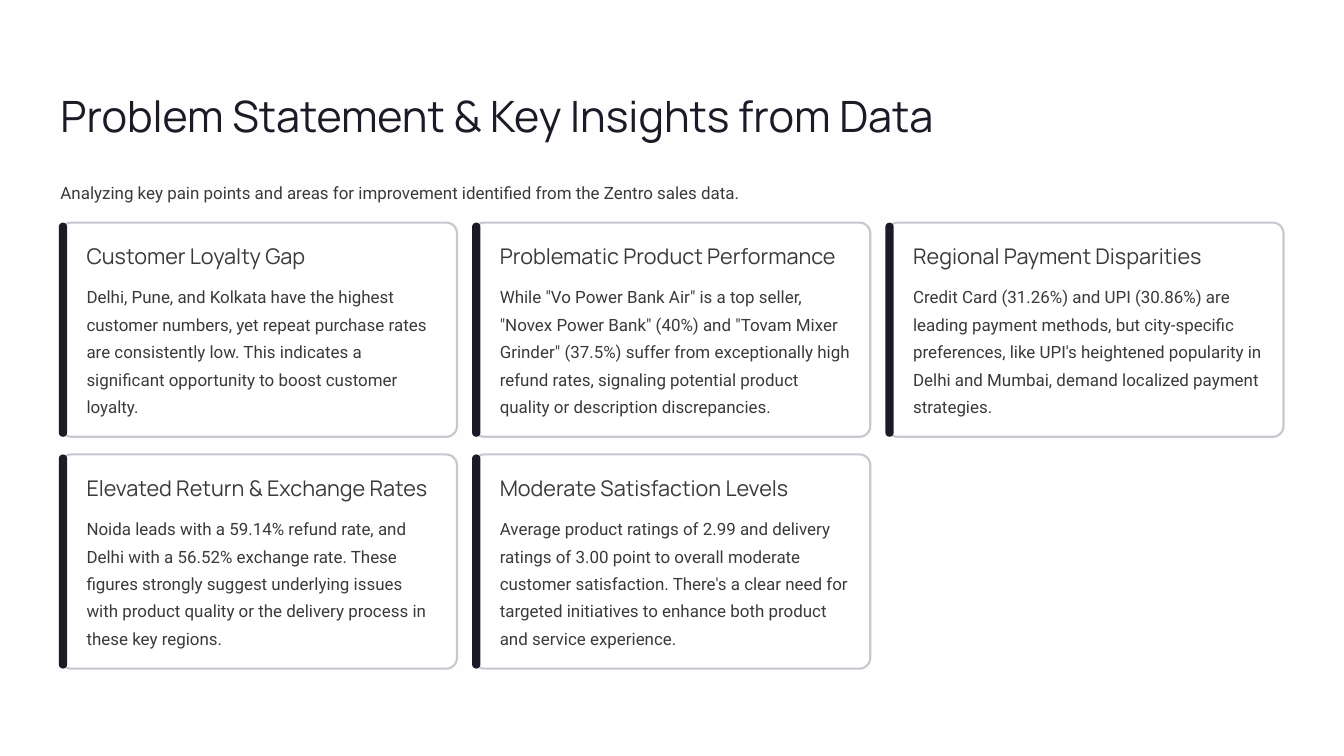
from pptx import Presentation
from pptx.dml.color import RGBColor
from pptx.enum.shapes import MSO_SHAPE
from pptx.enum.text import MSO_ANCHOR, MSO_AUTO_SIZE, PP_ALIGN
from pptx.util import Inches, Pt

COLORS = {
    "background": "FEFEFE",
    "card": "FFFFFF",
    "border": "C7C7D0",
    "ink": "1B1B27",
    "body": "3C3939",
}
STYLES = {
    "title": {"name": "Manrope", "size": 37, "color": "ink", "leading": 46},
    "heading": {"name": "Manrope", "size": 18.5, "color": "body", "leading": 23},
    "body": {"name": "Roboto", "size": 14.5, "color": "body", "leading": 23.5},
}
FRAME = {
    "margin_left": 0,
    "margin_top": 0,
    "margin_right": 0,
    "margin_bottom": 0,
    "vertical_anchor": MSO_ANCHOR.TOP,
    "auto_size": MSO_AUTO_SIZE.NONE,
}
LEFT, CARDS_TOP = 0.72, 2.65
CARD_WIDTH, CARD_HEIGHT = 4.72, 2.55
COLUMNS, COLUMN_STEP, ROW_STEP = 3, 4.92, 2.76

INSIGHTS = [
    ("Customer Loyalty Gap",
     "Delhi, Pune, and Kolkata have the highest customer numbers, yet repeat "
     "purchase rates are consistently low. This indicates a significant "
     "opportunity to boost customer loyalty."),
    ("Problematic Product Performance",
     'While "Vo Power Bank Air" is a top seller, "Novex Power Bank" (40%) and '
     '"Tovam Mixer Grinder" (37.5%) suffer from exceptionally high refund rates, '
     "signaling potential product quality or description discrepancies."),
    ("Regional Payment Disparities",
     "Credit Card (31.26%) and UPI (30.86%) are leading payment methods, but "
     "city-specific preferences, like UPI's heightened popularity in Delhi and "
     "Mumbai, demand localized payment strategies."),
    ("Elevated Return & Exchange Rates",
     "Noida leads with a 59.14% refund rate, and Delhi with a 56.52% exchange "
     "rate. These figures strongly suggest underlying issues with product "
     "quality or the delivery process in these key regions."),
    ("Moderate Satisfaction Levels",
     "Average product ratings of 2.99 and delivery ratings of 3.00 point to "
     "overall moderate customer satisfaction. There's a clear need for targeted "
     "initiatives to enhance both product and service experience."),
]


def rgb(color):
    return RGBColor.from_string(COLORS[color])


def write(frame, text, style, wrap=True):
    for attribute, value in FRAME.items():
        setattr(frame, attribute, value)
    frame.word_wrap = wrap
    frame.text = text
    paragraph = frame.paragraphs[0]
    paragraph.alignment = PP_ALIGN.LEFT
    look = STYLES[style]
    paragraph.line_spacing = Pt(look["leading"])
    paragraph.font.name = look["name"]
    paragraph.font.size = Pt(look["size"])
    paragraph.font.color.rgb = rgb(look["color"])


def add_title(slide, text):
    title = slide.shapes.title
    title.left, title.top = Inches(LEFT), Inches(1.04)
    title.width, title.height = Inches(14.56), Inches(0.64)
    write(title.text_frame, text, "title")


def add_text(slide, left, top, width, height, text, style, wrap=True):
    box = slide.shapes.add_textbox(
        Inches(left), Inches(top), Inches(width), Inches(height))
    write(box.text_frame, text, style, wrap)


def add_panel(slide, left, top, width, height, rounding, fill, border=None):
    panel = slide.shapes.add_shape(
        MSO_SHAPE.ROUNDED_RECTANGLE,
        Inches(left), Inches(top), Inches(width), Inches(height))
    panel.adjustments[0] = rounding
    panel.shadow.inherit = False
    panel.fill.solid()
    panel.fill.fore_color.rgb = rgb(fill)
    if border:
        panel.line.color.rgb = rgb(border)
        panel.line.width = Pt(1.8)
    else:
        panel.line.fill.background()


def add_card(slide, left, top, heading, body):
    add_panel(slide, left, top, CARD_WIDTH, CARD_HEIGHT, 0.05, "card", "border")
    add_panel(slide, left - 0.02, top, 0.1, CARD_HEIGHT, 0.5, "ink")
    add_text(slide, left + 0.31, top + 0.23, 4.18, 0.32, heading, "heading", False)
    add_text(slide, left + 0.31, top + 0.68, 4.18, 1.65, body, "body")


def main():
    deck = Presentation()
    deck.slide_width, deck.slide_height = Inches(16), Inches(9)
    slide = deck.slides.add_slide(deck.slide_layouts.get_by_name("Title Only"))
    slide.background.fill.solid()
    slide.background.fill.fore_color.rgb = rgb("background")

    add_title(slide, "Problem Statement & Key Insights from Data")
    add_text(slide, LEFT, 2.09, 14.56, 0.33,
             "Analyzing key pain points and areas for improvement identified "
             "from the Zentro sales data.", "body", False)
    for index, (heading, body) in enumerate(INSIGHTS):
        row, column = divmod(index, COLUMNS)
        add_card(slide, LEFT + column * COLUMN_STEP, CARDS_TOP + row * ROW_STEP,
                 heading, body)
    deck.save("out.pptx")


if __name__ == "__main__":
    main()
